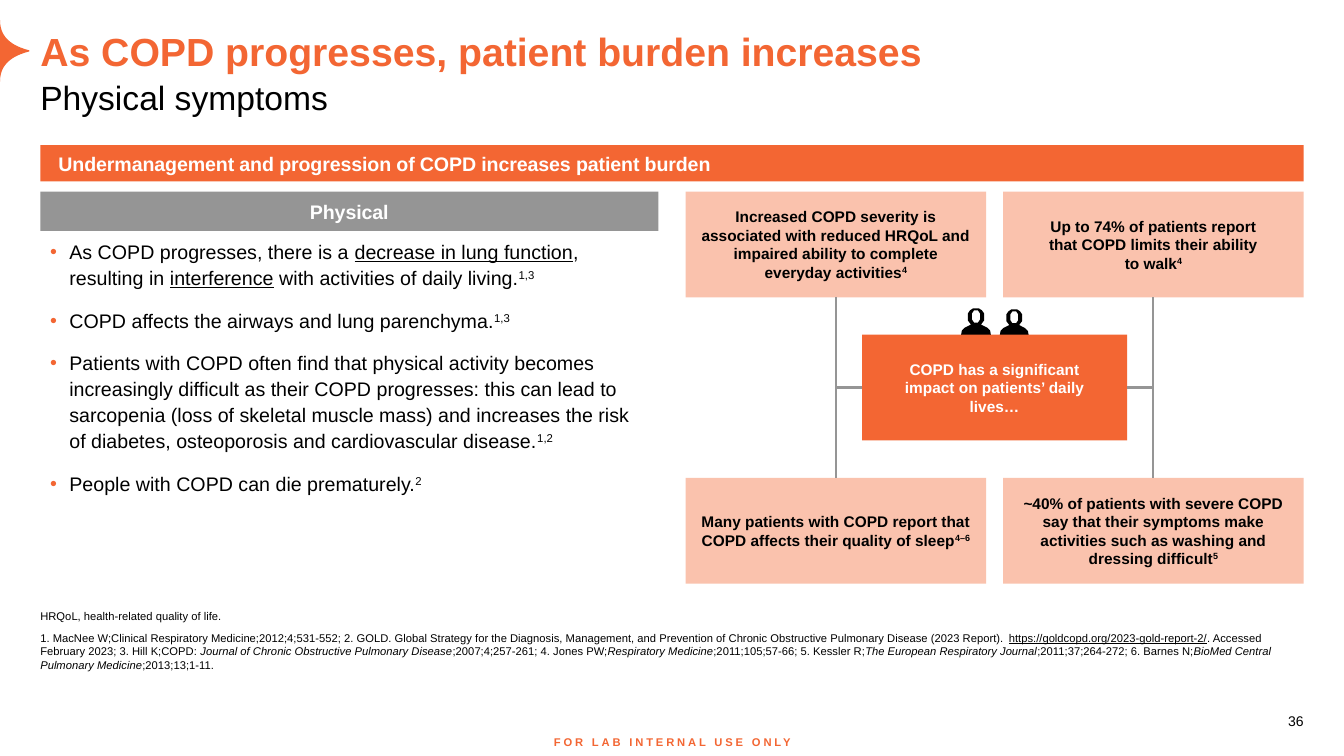
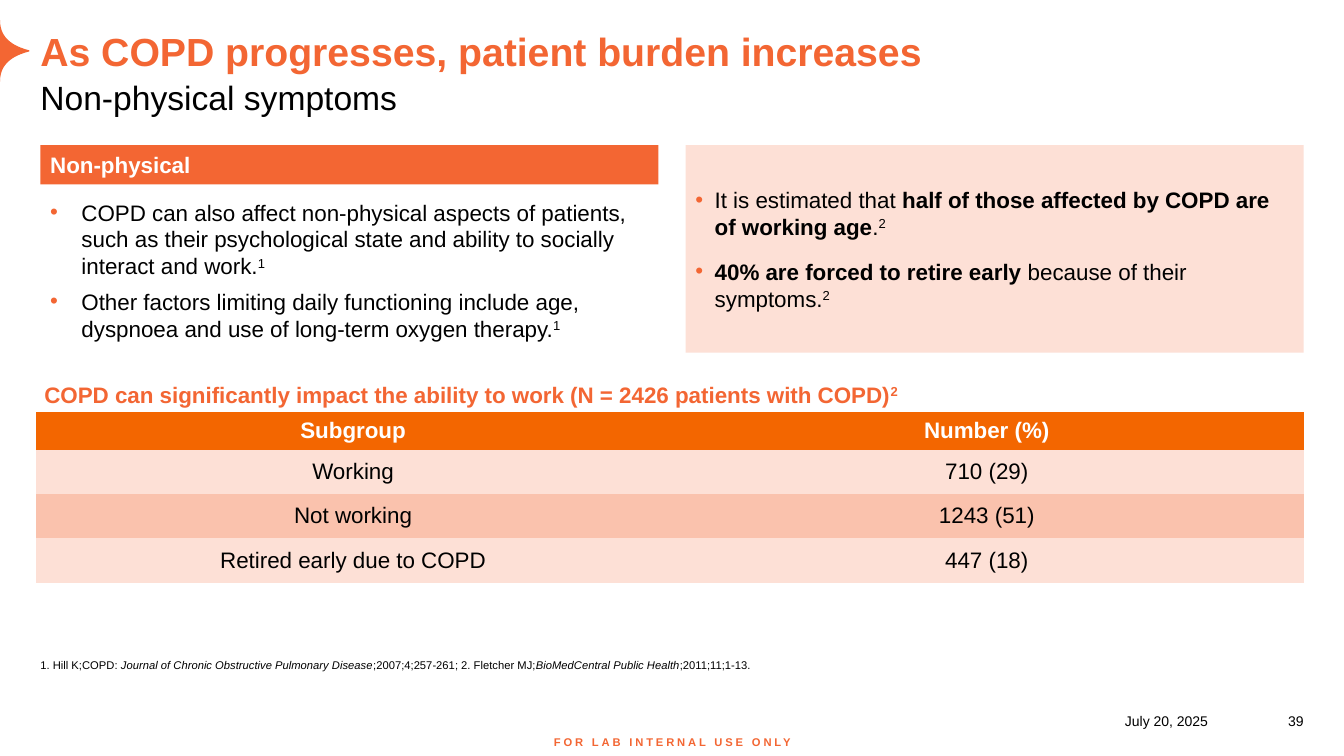
from lxml import etree
from pptx import Presentation
from pptx.dml.color import RGBColor
from pptx.enum.shapes import MSO_CONNECTOR, MSO_SHAPE
from pptx.enum.text import MSO_ANCHOR, PP_ALIGN
from pptx.oxml.ns import qn
from pptx.util import Inches, Pt

ORANGE = RGBColor(0xF3, 0x66, 0x33)
HEAD = RGBColor(0xF3, 0x66, 0x00)
PEACH = RGBColor(0xFA, 0xC2, 0xAD)
PALE = RGBColor(0xFD, 0xE0, 0xD6)
GREY = RGBColor(0x95, 0x95, 0x95)
BLACK = RGBColor(0, 0, 0)
WHITE = RGBColor(0xFF, 0xFF, 0xFF)

LEFT, CENTER, RIGHT = PP_ALIGN.LEFT, PP_ALIGN.CENTER, PP_ALIGN.RIGHT
TOP, MIDDLE, BOTTOM = MSO_ANCHOR.TOP, MSO_ANCHOR.MIDDLE, MSO_ANCHOR.BOTTOM
RECT = MSO_SHAPE.RECTANGLE
ELBOW = MSO_CONNECTOR.ELBOW

FONT = "Arial"
PLAIN_TABLE = "{2D5ABB26-0587-4C30-8999-92F81FD0307C}"
EDGE, WIDE, HALF = 0.4, 12.53, 6.13
COL = EDGE + WIDE - HALF  # left edge of the right column
MARKS = "*_|^"  # bold, underline, italic, superscript

# Right halves of a person's outline, measured from the top centre
BODY = [(0.03, 0), (0.06, 0.02), (0.08, 0.05), (0.08, 0.12), (0.05, 0.16),
        (0.11, 0.19), (0.14, 0.22), (0.16, 0.33), (0.16, 0.45), (0.11, 0.51),
        (0.11, 0.81), (0.05, 0.81), (0.02, 0.51)]
FACE = [(0.02, 0.02), (0.04, 0.05), (0.04, 0.11), (0.02, 0.14)]


def split(text):
    """Yield (text, active marks) for each stretch of marked-up text."""
    active, part = set(), ""
    for char in text:
        if char in MARKS:
            if part:
                yield part, set(active)
            active ^= {char}
            part = ""
        else:
            part += char
    if part:
        yield part, active


def write(para, text, size, color=BLACK, bold=False, track=0):
    """Fill a paragraph; track is letter spacing in points."""
    for part, marks in split(text):
        run = para.add_run()
        run.text = part
        font = run.font
        font.name, font.size = FONT, Pt(size)
        font.color.rgb = color
        font.bold = bold or "*" in marks
        if "_" in marks:
            font.underline = True
        if "|" in marks:
            font.italic = True
        props = run._r.get_or_add_rPr()
        if "^" in marks:
            props.set("baseline", "30000")
        if track:
            props.set("spc", str(round(track * 100)))


def bullet(para, indent):
    props = para._p.get_or_add_pPr()
    props.set("marL", str(Inches(indent)))
    props.set("indent", str(-Inches(indent)))
    tint = etree.SubElement(props, qn("a:buClr"))
    etree.SubElement(tint, qn("a:srgbClr")).set("val", str(ORANGE))
    etree.SubElement(props, qn("a:buFont")).set("typeface", FONT)
    etree.SubElement(props, qn("a:buChar")).set("char", "•")


def paint(shape, fill):
    shape.shadow.inherit = False
    shape.fill.solid()
    shape.fill.fore_color.rgb = fill
    shape.line.fill.background()


def box(slide, area, lines, size, fill=None, align=LEFT, anchor=MIDDLE,
        pad=(0.1, 0.05), indent=0, before=0, after=0, lead=None, **style):
    """Put paragraphs in a text box, or in a rectangle if fill is given."""
    if fill is None:
        shape = slide.shapes.add_textbox(*map(Inches, area))
    else:
        shape = slide.shapes.add_shape(RECT, *map(Inches, area))
        paint(shape, fill)
    frame = shape.text_frame
    frame.word_wrap = True
    frame.vertical_anchor = anchor
    frame.margin_left = frame.margin_right = Inches(pad[0])
    frame.margin_top = frame.margin_bottom = Inches(pad[1])
    for i, line in enumerate(lines):
        para = frame.paragraphs[0] if i == 0 else frame.add_paragraph()
        if indent:
            bullet(para, indent)
        para.alignment = align
        para.space_before = Pt(before if i else 0)
        para.space_after = Pt(after)
        if lead:
            para.line_spacing = lead
        write(para, line, size, **style)
    return shape


def outline(slide, loops, fill):
    """Draw closed loops of points as one filled shape."""
    pen = None
    for loop in loops:
        points = [(Inches(x), Inches(y)) for x, y in loop]
        if pen is None:
            pen = slide.shapes.build_freeform(*points[0])
        else:
            pen.move_to(*points[0])
        pen.add_line_segments(points[1:], close=True)
    paint(pen.convert_to_shape(), fill)


def spark(slide):
    """Draw the pointed ornament on the left edge."""
    upper = []
    for i in range(13):
        t = i / 12
        s = 1 - t
        x = 3 * s * t * t * 0.1 + t ** 3 * 0.29
        y = s ** 3 * 0.2 + 3 * s * s * t * 0.36 + 3 * s * t * t * 0.45 + t ** 3 * 0.5
        upper.append((x, y))
    lower = [(x, 1.01 - y) for x, y in reversed(upper)]
    outline(slide, [upper + lower], ORANGE)


def base(deck, topic, notes, number):
    """Add a slide with the shared title, references and footer."""
    slide = deck.slides.add_slide(deck.slide_layouts[6])
    bare = (0, 0)
    spark(slide)
    box(slide, (EDGE, 0.27, WIDE, 0.47), ["As COPD progresses, patient burden increases"],
        28, anchor=BOTTOM, pad=bare, color=ORANGE, bold=True)
    box(slide, (EDGE, 0.76, WIDE, 0.39), [topic], 24, anchor=TOP, pad=bare)
    box(slide, (EDGE, 5.95, WIDE, 0.71), notes, 8, anchor=BOTTOM, pad=bare,
        before=3, after=3)
    box(slide, (4.99, 7.25, 3.36, 0.24), ["FOR LAB INTERNAL USE ONLY"], 8,
        align=CENTER, anchor=TOP, color=ORANGE, bold=True, track=2)
    box(slide, (12.34, 6.94, 0.59, 0.3), [number], 10, align=RIGHT,
        anchor=BOTTOM, pad=bare)
    return slide


def person(slide, x, y, scale):
    """Draw a standing figure whose head top is centred at x, y."""
    loops = []
    for half in (BODY, FACE):
        whole = half + [(-dx, dy) for dx, dy in reversed(half)]
        loops.append([(x + dx * scale, y + dy * scale) for dx, dy in whole])
    outline(slide, loops, BLACK)


def link(slide, hub, side, card, edge):
    """Join a side of the hub to an edge of a card with one bend."""
    line = slide.shapes.add_connector(ELBOW, 0, 0, 0, 0)
    line.begin_connect(hub, side)
    line.end_connect(card, edge)
    line.line.color.rgb = GREY
    line.line.width = Pt(1.5)
    props = line._element.spPr
    props.find(qn("a:prstGeom")).set("prst", "bentConnector2")
    etree.SubElement(props, qn("a:effectLst"))


def impact(slide, x, y, wide, tall):
    """Place four facts in the corners, joined to a hub in the middle."""
    card_w, card_h, hub_w = 2.98, 1.05, 2.63
    hub_x, hub_y = x + (wide - hub_w) / 2, y + (tall - card_h) / 2
    for shift, drop, scale in ((1.13, 0.26, 1), (1.51, 0.25, 0.97)):
        person(slide, hub_x + shift, hub_y - drop, scale)
    facts = [
        ("Increased COPD severity is associated with reduced HRQoL and "
         "impaired ability to complete everyday activities^4^", 0.14),
        ("Up to 74% of patients report that COPD limits their ability to walk^4^", 0.4),
        ("Many patients with COPD report that COPD affects their quality of sleep^4–6^", 0.12),
        ("~40% of patients with severe COPD say that their symptoms make "
         "activities such as washing and dressing difficult^5^", 0.12),
    ]
    cards = []
    for i, (fact, pad) in enumerate(facts):
        area = (x + i % 2 * (wide - card_w), y + i // 2 * (tall - card_h), card_w, card_h)
        cards.append(box(slide, area, [fact], 11, fill=PEACH, align=CENTER,
                         pad=(pad, 0.05), bold=True))
    hub = box(slide, (hub_x, hub_y, hub_w, card_h),
              ["COPD has a significant impact on patients’ daily lives…"], 11,
              fill=ORANGE, align=CENTER, pad=(0.32, 0.05), color=WHITE, bold=True)
    for i, card in enumerate(cards):
        link(slide, hub, (1, 3)[i % 2], card, (2, 0)[i // 2])


def grid(slide, x, y, wide, rows):
    """Place a two-column table with a header row."""
    table = slide.shapes.add_table(len(rows), 2, Inches(x), Inches(y),
                                   Inches(wide), Inches(1.69)).table
    table._tbl.tblPr.find(qn("a:tableStyleId")).text = PLAIN_TABLE
    for i, row in enumerate(rows):
        table.rows[i].height = Inches(0.44 if i else 0.37)
        for j, text in enumerate(row):
            cell = table.cell(i, j)
            cell.fill.solid()
            cell.fill.fore_color.rgb = (PEACH, PALE)[i % 2] if i else HEAD
            cell.vertical_anchor = MIDDLE
            cell.margin_left = cell.margin_right = Inches(0.05)
            cell.margin_top = cell.margin_bottom = Inches(0.05)
            para = cell.text_frame.paragraphs[0]
            para.alignment = CENTER
            write(para, text, 16, BLACK if i else WHITE, bold=i == 0)


def physical(deck):
    slide = base(deck, "Physical symptoms", [
        "HRQoL, health-related quality of life.",
        "1. MacNee W;Clinical Respiratory Medicine;2012;4;531-552; 2. GOLD. Global Strategy "
        "for the Diagnosis, Management, and Prevention of Chronic Obstructive Pulmonary "
        "Disease (2023 Report). _https://goldcopd.org/2023-gold-report-2/_. Accessed "
        "February 2023; 3. Hill K;COPD: |Journal of Chronic Obstructive Pulmonary Disease|"
        ";2007;4;257-261; 4. Jones PW;|Respiratory Medicine|;2011;105;57-66; 5. Kessler R;"
        "|The European Respiratory Journal|;2011;37;264-272; 6. Barnes N;"
        "|BioMed Central Pulmonary Medicine|;2013;13;1-11.",
    ], "36")
    label = {"color": WHITE, "bold": True, "track": -0.1}
    box(slide, (EDGE, 1.44, WIDE, 0.36),
        ["Undermanagement and progression of COPD increases patient burden"], 14,
        fill=ORANGE, pad=(0.18, 0.05), **label)
    box(slide, (EDGE, 1.9, HALF, 0.39), ["Physical"], 14, fill=GREY, align=CENTER, **label)
    box(slide, (EDGE, 2.31, HALF, 2.66), [
        "As COPD progresses, there is a _decrease in lung function_, resulting in "
        "_interference_ with activities of daily living.^1,3^",
        "COPD affects the airways and lung parenchyma.^1,3^",
        "Patients with COPD often find that physical activity becomes increasingly "
        "difficult as their COPD progresses: this can lead to sarcopenia (loss of "
        "skeletal muscle mass) and increases the risk of diabetes, osteoporosis and "
        "cardiovascular disease.^1,2^",
        "People with COPD can die prematurely.^2^",
    ], 14, anchor=TOP, indent=0.19, before=6, after=6, lead=1.1)
    impact(slide, COL, 1.9, HALF, 3.89)


def mental(deck):
    slide = base(deck, "Non-physical symptoms", [
        "1. Hill K;COPD: |Journal of Chronic Obstructive Pulmonary Disease|;2007;4;257-261; "
        "2. Fletcher MJ;|BioMedCentral Public Health|;2011;11;1-13.",
    ], "39")
    box(slide, (EDGE, 1.44, HALF, 0.39), ["Non-physical"], 16, fill=ORANGE,
        color=WHITE, bold=True)
    box(slide, (EDGE, 1.85, HALF, 1.66), [
        "COPD can also affect non-physical aspects of patients, such as their "
        "psychological state and ability to socially interact and work.^1^",
        "Other factors limiting daily functioning include age, dyspnoea and use of "
        "long-term oxygen therapy.^1^",
    ], 16, fill=WHITE, indent=0.31, before=3, after=3)
    work = box(slide, (COL, 1.44, HALF, 2.06), [
        "It is estimated that *half of those affected by COPD are of working age*.^2^",
        "*40% are forced to retire early* because of their symptoms.^2^",
    ], 16, fill=PALE, indent=0.19, before=12.8)
    work.text_frame.margin_right = Inches(0.2)
    box(slide, (EDGE, 3.77, WIDE, 0.28),
        ["COPD can significantly impact the ability to work "
         "(N = 2426 patients with COPD)^2^"], 16, anchor=TOP, pad=(0.04, 0.01),
        color=ORANGE, bold=True)
    grid(slide, 0.36, 4.09, 12.57, [
        ("Subgroup", "Number (%)"),
        ("Working", "710 (29)"),
        ("Not working", "1243 (51)"),
        ("Retired early due to COPD", "447 (18)"),
    ])
    box(slide, (8.94, 6.94, 3.04, 0.3), ["July 20, 2025"], 10, align=RIGHT,
        anchor=BOTTOM, pad=(0, 0))


def main():
    deck = Presentation()
    deck.slide_width, deck.slide_height = Inches(13.33), Inches(7.5)
    physical(deck)
    mental(deck)
    deck.save("out.pptx")


if __name__ == "__main__":
    main()
